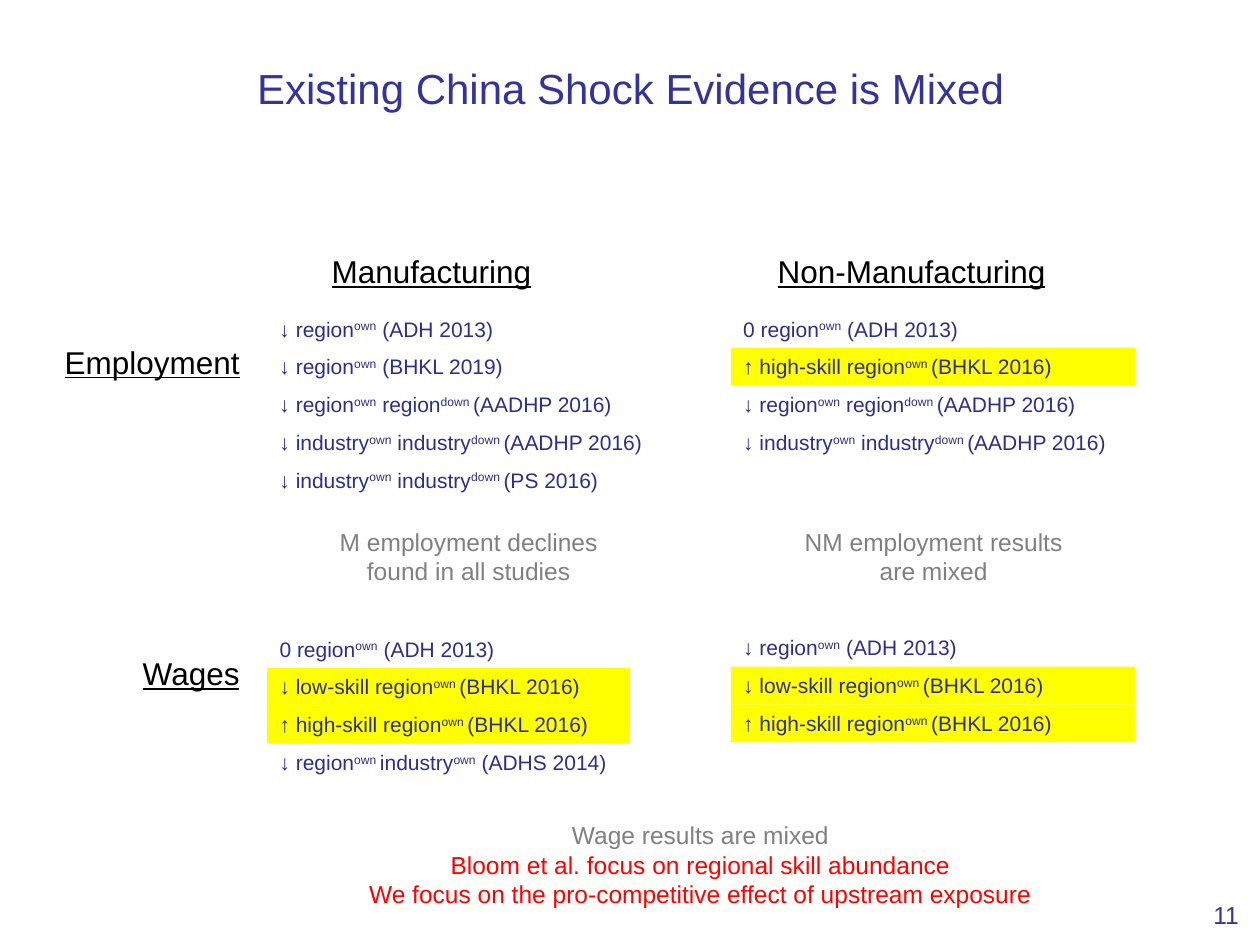
"""Build a slide that sums up the China shock evidence."""
from pptx import Presentation
from pptx.dml.color import RGBColor
from pptx.enum import shapes, text
from pptx.util import Inches, Pt

INK = {"title": "333399", "body": "2D2D8A", "head": "000000",
       "note": "808080", "key": "FF0000", "mark": "FFFF00"}
LEFT, MID, RIGHT = (text.PP_ALIGN.LEFT, text.PP_ALIGN.CENTER,
                    text.PP_ALIGN.RIGHT)

TITLE = "Existing China Shock Evidence is Mixed"

HEADS = [
    ("Manufacturing", (1.59, 1.95, 3.67, 0.4), MID),
    ("Non-Manufacturing", (5.4, 1.95, 3.67, 0.4), MID),
    ("Employment", (-0.16, 2.67, 2.16, 0.4), RIGHT),
    ("Wages", (-0.16, 5.14, 2.16, 0.4), RIGHT),
]

# Odd parts between bars are raised; a leading star marks a yellow row.
GROUPS = [
    (2.12, 2.46, 3.47, [
        "↓ region|own| (ADH 2013)",
        "↓ region|own| (BHKL 2019)",
        "↓ region|own| region|down |(AADHP 2016)",
        "↓ industry|own| industry|down |(AADHP 2016)",
        "↓ industry|own| industry|down |(PS 2016)"]),
    (5.8, 2.46, 3.21, [
        "0 region|own| (ADH 2013)",
        "*↑ high-skill region|own |(BHKL 2016)",
        "↓ region|own| region|down |(AADHP 2016)",
        "↓ industry|own| industry|down |(AADHP 2016)"]),
    (2.12, 5.0, 2.88, [
        "0 region|own| (ADH 2013)",
        "*↓ low-skill region|own |(BHKL 2016)",
        "*↑ high-skill region|own |(BHKL 2016)",
        "↓ region|own |industry|own| (ADHS 2014)"]),
    (5.8, 4.99, 3.21, [
        "↓ region|own| (ADH 2013)",
        "*↓ low-skill region|own |(BHKL 2016)",
        "*↑ high-skill region|own |(BHKL 2016)"]),
]
STEP, ROW = 0.3, 0.3

NOTES = [
    ((2.46, 4.13, 2.52, 0.57),
     [("M employment declines found in all studies", "note")]),
    ((6.15, 4.13, 2.52, 0.57),
     [("NM employment results are mixed", "note")]),
    ((2.11, 6.46, 6.9, 1.04),
     [("Wage results are mixed", "note"),
      ("Bloom et al. focus on regional skill abundance", "key"),
      ("We focus on the pro-competitive effect of upstream exposure",
       "key")]),
]


def paint(name):
    return RGBColor.from_string(INK[name])


def add_run(para, words, size, ink, line=False, high=False):
    run = para.add_run()
    run.text = words
    font = run.font
    font.name, font.size, font.color.rgb = "Arial", Pt(size), paint(ink)
    if line:
        font.underline = True
    if high:
        run._r.get_or_add_rPr().set("baseline", "30000")


def add_box(slide, spot, align, mark=False):
    spot = [Inches(n) for n in spot]
    if mark:
        box = slide.shapes.add_shape(shapes.MSO_SHAPE.RECTANGLE, *spot)
        box.shadow.inherit = False
        box.fill.solid()
        box.fill.fore_color.rgb = paint("mark")
        box.line.fill.background()
    else:
        box = slide.shapes.add_textbox(*spot)
    frame = box.text_frame
    frame.word_wrap = True
    frame.vertical_anchor = text.MSO_ANCHOR.TOP
    frame.paragraphs[0].alignment = align
    return frame


def add_rows(slide, left, top, width, rows):
    for i, row in enumerate(rows):
        spot = (left, top + i * STEP, width, ROW)
        frame = add_box(slide, spot, LEFT, row.startswith("*"))
        for j, part in enumerate(row.lstrip("*").split("|")):
            add_run(frame.paragraphs[0], part, 12, "body", high=j % 2 == 1)


def main():
    prs = Presentation()
    prs.slide_width, prs.slide_height = Inches(10), Inches(7.5)
    slide = prs.slides.add_slide(prs.slide_layouts[5])

    title = slide.shapes.title
    title.left, title.top = Inches(0.39), Inches(0.3)
    title.width, title.height = Inches(9.23), Inches(0.79)
    frame = title.text_frame
    frame.vertical_anchor = text.MSO_ANCHOR.MIDDLE
    frame.paragraphs[0].alignment = MID
    add_run(frame.paragraphs[0], TITLE, 24, "title")

    for words, spot, align in HEADS:
        frame = add_box(slide, spot, align)
        add_run(frame.paragraphs[0], words, 18, "head", line=True)
    for group in GROUPS:
        add_rows(slide, *group)
    for spot, lines in NOTES:
        frame = add_box(slide, spot, MID)
        for i, (words, ink) in enumerate(lines):
            para = frame.add_paragraph() if i else frame.paragraphs[0]
            para.alignment = MID
            add_run(para, words, 14, ink)

    frame = add_box(slide, (9.39, 6.86, 0.54, 0.52), RIGHT)
    frame.vertical_anchor = text.MSO_ANCHOR.BOTTOM
    frame.margin_bottom = 0
    add_run(frame.paragraphs[0], "11", 14, "title")
    prs.save("out.pptx")


if __name__ == "__main__":
    main()
